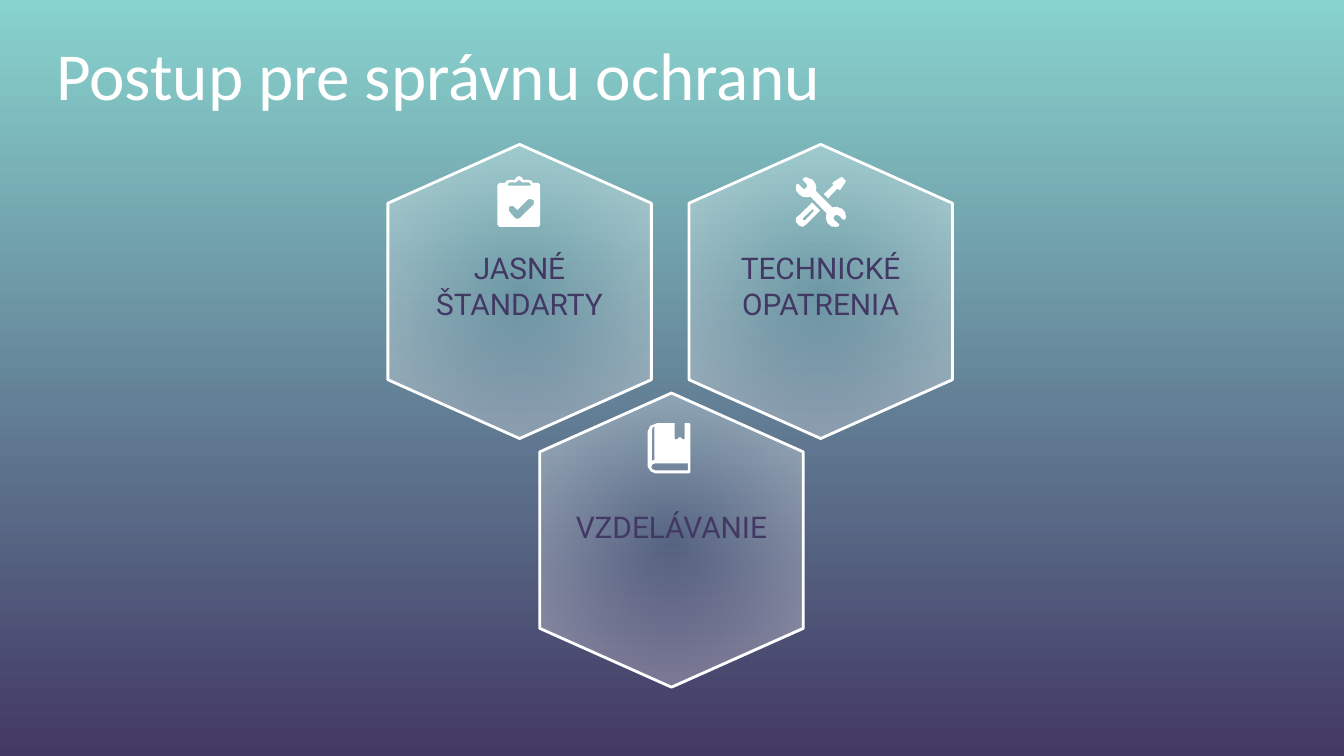
import pptx
import pptx.dml.color
import pptx.enum.shapes
import pptx.enum.text
import pptx.oxml
import pptx.util
from pptx.util import Cm

COLORS = {"white": "FFFFFF", "mint": "88D3CE", "plum": "423864"}

CLIPBOARD = [[
    [(0, 17), (4, 13), (15, 13), (17, 9), (23, 7), (33, 7), (36, 2), (41, 0),
     (46, 2), (49, 7), (59, 7), (65, 9), (67, 13), (78, 13), (81, 17),
     (81, 92), (78, 96), (4, 96), (0, 92)],
    [(20, 18), (20, 15), (23, 12), (35, 12), (38, 9), (41, 7), (44, 9),
     (47, 12), (60, 12), (63, 15), (63, 18)],
    [(63, 43), (69, 46), (69, 53), (43, 79), (38, 81), (33, 79), (22, 66),
     (22, 58), (28, 56), (31, 57), (38, 64), (58, 44)],
]]
WRENCH = [
    [(20, 0), (15, 1), (13, 5), (20, 12), (22, 16), (20, 20), (16, 23),
     (12, 20), (5, 13), (2, 13), (0, 18), (1, 26), (7, 33), (13, 37),
     (20, 38), (28, 37), (58, 68), (57, 78), (60, 87), (67, 93), (76, 94),
     (81, 93), (82, 89), (73, 81), (71, 77), (73, 73), (78, 71), (82, 73),
     (89, 80), (93, 80), (95, 76), (93, 66), (88, 60), (78, 56), (69, 57),
     (38, 26), (39, 20), (37, 12), (32, 5)],
]
HANDLE = [
    [(31, 48), (46, 63), (20, 89), (13, 94), (6, 91), (0, 84), (1, 76), (5, 73)],
    [(31, 61), (33, 61), (34, 64), (18, 81), (14, 81), (13, 78)],
]
SHAFT = [
    [(86, 0), (88, 0), (94, 6), (94, 9), (84, 24), (80, 23), (78, 22),
     (61, 40), (53, 32), (71, 15), (69, 12), (71, 9)],
]
TOOLS = [WRENCH, HANDLE, SHAFT]
BOOK = [[
    [(18, 0), (51, 0), (51, 29), (53, 31), (56, 30), (61, 26), (66, 30),
     (68, 31), (70, 29), (70, 0), (79, 0), (81, 3), (81, 92), (79, 95),
     (15, 95), (6, 91), (0, 82), (0, 16), (5, 5)],
    [(13, 5), (13, 69), (8, 71), (8, 15), (9, 9)],
    [(76, 76), (76, 89), (14, 89), (8, 86), (7, 82), (9, 78), (14, 76)],
]]


class Deck:
    def __init__(self, prs):
        self.s = prs.slides.add_slide(prs.slide_layouts[6])

    def rgb(self, name):
        return pptx.dml.color.RGBColor.from_string(COLORS[name])

    def background(self, top, bottom):
        fill = self.s.background.fill
        fill.gradient()
        fill.gradient_angle = 270
        for stop, name in zip(fill.gradient_stops, (top, bottom)):
            stop.color.rgb = self.rgb(name)

    def hexagon(self, cx, cy, w=5.56, h=4.98):
        kind = pptx.enum.shapes.MSO_SHAPE.FLOWCHART_PREPARATION
        sp = self.s.shapes.add_shape(kind, Cm(cx - w / 2), Cm(cy - h / 2), Cm(w), Cm(h))
        sp.rotation = 90
        sp.shadow.inherit = False
        sp.line.color.rgb = self.rgb("white")
        sp.line.width = pptx.util.Pt(1.5)
        stops = "".join(
            f'<a:gs pos="{pos}"><a:srgbClr val="{COLORS["white"]}">'
            f'<a:alpha val="{alpha}"/></a:srgbClr></a:gs>'
            for pos, alpha in ((0, 0), (100000, 39000)))
        grad = pptx.oxml.parse_xml(
            '<a:gradFill xmlns:a="http://schemas.openxmlformats.org/drawingml/2006/main">'
            f'<a:gsLst>{stops}</a:gsLst><a:path path="circle">'
            '<a:fillToRect l="50000" t="50000" r="50000" b="50000"/></a:path></a:gradFill>')
        sp.element.spPr.find(pptx.oxml.ns.qn("a:prstGeom")).addnext(grad)

    def text(self, text, x, y, w, h, size, font, color, align):
        tf = self.s.shapes.add_textbox(Cm(x), Cm(y), Cm(w), Cm(h)).text_frame
        tf.word_wrap = True
        tf.vertical_anchor = pptx.enum.text.MSO_ANCHOR.BOTTOM
        tf.margin_left = tf.margin_right = tf.margin_top = tf.margin_bottom = Cm(0.25)
        p = tf.paragraphs[0]
        p.text = text
        p.alignment = align
        p.font.size = pptx.util.Pt(size)
        p.font.name = font
        p.font.color.rgb = self.rgb(color)

    def title(self, text):
        self.text(text, 0.81, 0.56, 22.86, 1.85, 36, "Calibri", "white",
                  pptx.enum.text.PP_ALIGN.LEFT)

    def label(self, text, cx, cy, w=4.37, h=1.6):
        self.text(text, cx - w / 2, cy - h / 2, w, h, 16, "Roboto", "plum",
                  pptx.enum.text.PP_ALIGN.CENTER)

    def icon(self, parts, x, y):
        shapes = self.s.shapes
        if len(parts) > 1:
            shapes = shapes.add_group_shape().shapes
        for outline, *holes in parts:
            fb = shapes.build_freeform(*outline[0], scale=Cm(0.01))
            fb.add_line_segments(outline[1:], close=True)
            for hole in holes:
                fb.move_to(*hole[0])
                fb.add_line_segments(hole[1:], close=True)
            sp = fb.convert_to_shape(Cm(x), Cm(y))
            sp.shadow.inherit = False
            sp.fill.solid()
            sp.fill.fore_color.rgb = self.rgb("white")
            sp.line.fill.background()


def main():
    prs = pptx.Presentation()
    prs.slide_width, prs.slide_height = Cm(25.4), Cm(14.29)
    deck = Deck(prs)
    deck.background("mint", "plum")
    steps = [
        ("JASNÉ\vŠTANDARTY", 9.82, 5.51, 5.52, CLIPBOARD, 9.4, 3.33),
        ("VZDELÁVANIE", 12.69, 10.21, 9.74, BOOK, 12.24, 8),
        ("TECHNICKÉ\vOPATRENIA", 15.51, 5.51, 5.52, TOOLS, 15.04, 3.35),
    ]
    for text, cx, cy, label_cy, parts, x, y in steps:
        deck.hexagon(cx, cy)
    deck.title("Postup pre správnu ochranu")
    for text, cx, cy, label_cy, parts, x, y in steps:
        deck.label(text, cx, label_cy)
        deck.icon(parts, x, y)
    prs.save("out.pptx")


if __name__ == "__main__":
    main()
